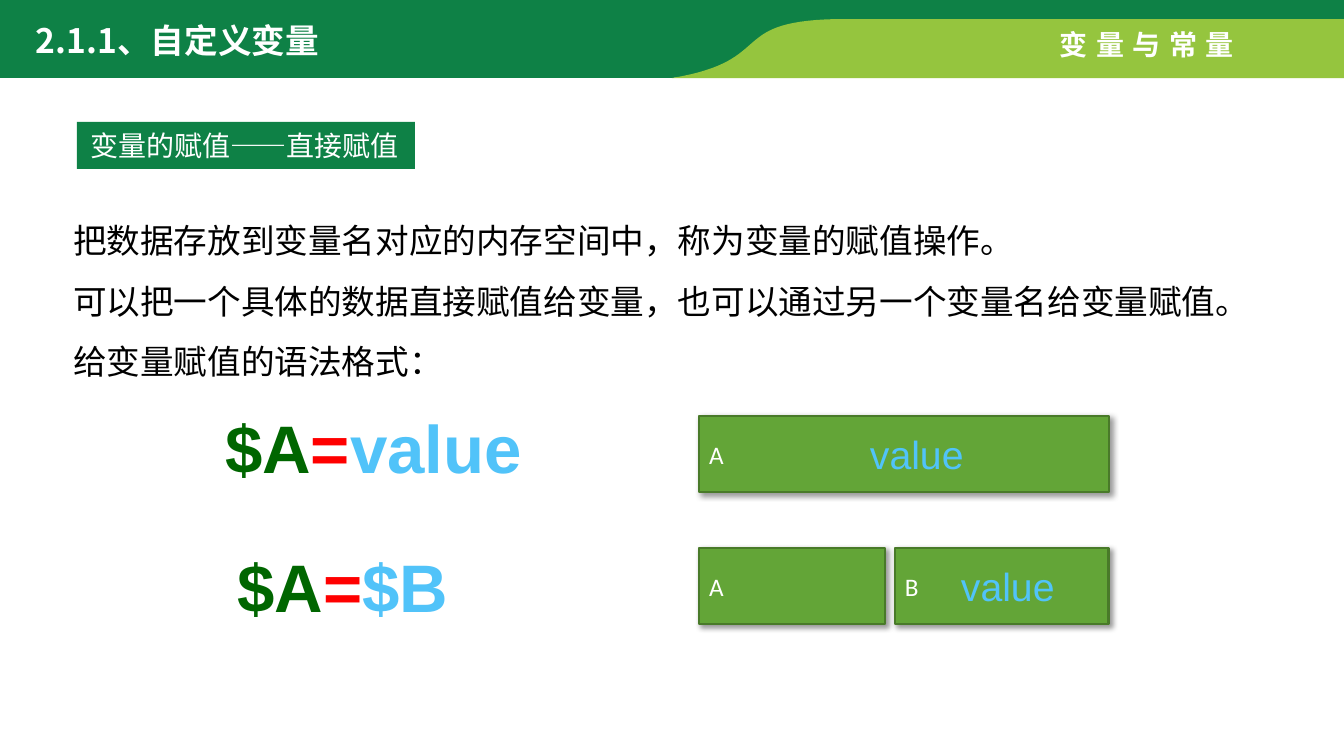
from dataclasses import dataclass

from lxml import etree
from pptx import Presentation, util as u
from pptx.dml.color import RGBColor
from pptx.enum import shapes, text
from pptx.oxml import ns

EMU_PER_PX = 914400 / 100.8
CURVE_STEPS = 32
CJK_FONT = "Noto Sans CJK SC"
COLORS = {
    "white": "FFFFFF", "black": "000000", "dark": "0E8146", "light": "95C53E",
    "cell": "63A537", "cell_line": "497A29", "name": "006600",
    "equals": "FF0000", "value": "51C3F9",
}
Point = tuple[float, float]
Box = tuple[int, int, int, int]


@dataclass(frozen=True)
class Style:
    size: int
    font: str = "Arial"
    bold: bool = False
    spacing: int = 0
    align: text.PP_ALIGN = text.PP_ALIGN.LEFT
    anchor: text.MSO_ANCHOR = text.MSO_ANCHOR.TOP
    line_spacing: float = 1.0
    wrap: bool = True
    grow: bool = True
    insets: tuple[int, int] = (10, 5)


@dataclass(frozen=True)
class TextItem:
    """Each paragraph is a list of (text, color name) runs."""
    box: Box
    paragraphs: list[list[tuple[str, str]]]
    style: Style


@dataclass(frozen=True)
class MemoryCell:
    box: Box
    name: str


TITLE = Style(24, CJK_FONT, bold=True)
CHAPTER = Style(20, bold=True, spacing=6, wrap=False)
LABEL = Style(20, wrap=False, insets=(13, 7))
BODY = Style(24, CJK_FONT, line_spacing=1.5)
FORMULA = Style(48, bold=True, align=text.PP_ALIGN.CENTER, wrap=False)
CELL = Style(18, "Calibri", anchor=text.MSO_ANCHOR.MIDDLE, grow=False)
VALUE = Style(28)

SECTION_LABEL = TextItem((77, 122, 338, 47), [[("变量的赋值——直接赋值", "white")]], LABEL)
BODY_LINES = [
    "把数据存放到变量名对应的内存空间中，称为变量的赋值操作。",
    "可以把一个具体的数据直接赋值给变量，也可以通过另一个变量名给变量赋值。",
    "给变量赋值的语法格式：",
]
HEADINGS = [
    TextItem((26, 15, 380, 50), [[("2.1.1、自定义变量", "white")]], TITLE),
    TextItem((1050, 22, 205, 44), [[("变量与常量", "white")]], CHAPTER),
]
BODY_TEXT = TextItem((63, 195, 1192, 194), [[(line, "black")] for line in BODY_LINES], BODY)
FORMULAS = [
    TextItem(box, [[("$A", "name"), ("=", "equals"), (source, "value")]], FORMULA)
    for box, source in [((213, 401, 321, 92), "value"), ((226, 540, 234, 92), "$B")]
]
CELLS = [
    MemoryCell((699, 416, 410, 76), "A"),
    MemoryCell((699, 548, 186, 76), "A"),
    MemoryCell((895, 548, 214, 76), "B"),
]
VALUES = [
    TextItem((left, top, 115, 57), [[("value", "value")]], VALUE)
    for left, top in [(860, 425), (951, 557)]
]


def px(length: float) -> u.Emu:
    return u.Emu(round(length * EMU_PER_PX))


def rgb(name: str) -> RGBColor:
    return RGBColor.from_string(COLORS[name])


def curve(start: Point, control_1: Point, control_2: Point, end: Point) -> list[Point]:
    """Sample a cubic Bezier, both ends included."""
    points = []
    for step in range(CURVE_STEPS + 1):
        t = step / CURVE_STEPS
        weights = ((1 - t) ** 3, 3 * t * (1 - t) ** 2, 3 * t * t * (1 - t), t ** 3)
        knots = (start, control_1, control_2, end)
        points.append((sum(w * x for w, (x, _) in zip(weights, knots)),
                       sum(w * y for w, (_, y) in zip(weights, knots))))
    return points


def paint(shape, fill: str) -> None:
    shape.shadow.inherit = False
    shape.fill.solid()
    shape.fill.fore_color.rgb = rgb(fill)
    shape.line.fill.background()


def add_band(slide, outline: list[Point], fill: str) -> None:
    start, *rest = [(px(x), px(y)) for x, y in outline]
    builder = slide.shapes.build_freeform(*start, scale=1.0)
    builder.add_line_segments(rest, close=True)
    paint(builder.convert_to_shape(), fill)


def write(shape, paragraphs: list[list[tuple[str, str]]], style: Style) -> None:
    frame = shape.text_frame
    side, edge = map(px, style.insets)
    sizing = text.MSO_AUTO_SIZE
    frame_format = {
        "margin_left": side, "margin_right": side,
        "margin_top": edge, "margin_bottom": edge,
        "word_wrap": style.wrap, "vertical_anchor": style.anchor,
        "auto_size": sizing.SHAPE_TO_FIT_TEXT if style.grow else sizing.NONE,
    }
    for key, setting in frame_format.items():
        setattr(frame, key, setting)
    font_format = {"size": u.Pt(style.size), "name": style.font, "bold": style.bold}
    for index, runs in enumerate(paragraphs):
        paragraph = frame.add_paragraph() if index else frame.paragraphs[0]
        paragraph.alignment = style.align
        paragraph.line_spacing = style.line_spacing
        for wording, color in runs:
            run = paragraph.add_run()
            run.text = wording
            for key, setting in font_format.items():
                setattr(run.font, key, setting)
            run.font.color.rgb = rgb(color)
            properties = run._r.get_or_add_rPr()
            etree.SubElement(properties, ns.qn("a:ea"), typeface=CJK_FONT)
            if style.spacing:
                properties.set("spc", str(style.spacing * 100))


def add_text(slide, item: TextItem) -> None:
    write(slide.shapes.add_textbox(*map(px, item.box)), item.paragraphs, item.style)


def add_rectangle(slide, item: TextItem, fill: str):
    shape = slide.shapes.add_shape(shapes.MSO_SHAPE.RECTANGLE, *map(px, item.box))
    paint(shape, fill)
    write(shape, item.paragraphs, item.style)
    return shape


def add_cell(slide, cell: MemoryCell) -> None:
    shape = add_rectangle(slide, TextItem(cell.box, [[(cell.name, "white")]], CELL), "cell")
    shape.line.color.rgb = rgb("cell_line")
    shape.line.width = u.Pt(2)
    effects = shape._element.spPr.find(ns.qn("a:effectLst"))
    shadow = etree.SubElement(effects, ns.qn("a:outerShdw"), blurRad=str(u.Pt(4)),
                              dist=str(u.Pt(3)), dir=str(45 * 60000), rotWithShape="0")
    color = etree.SubElement(shadow, ns.qn("a:srgbClr"), val=COLORS["black"])
    etree.SubElement(color, ns.qn("a:alpha"), val="40000")


def main() -> None:
    presentation = Presentation()
    presentation.slide_width, presentation.slide_height = px(1344), px(756)
    slide = presentation.slides.add_slide(presentation.slide_layouts[6])

    add_band(slide, [(0, -3), (1344, -3), (1344, 24), (834, 24),
                     *curve((815, 28), (733, 44), (776, 78), (660, 78)), (0, 78)], "dark")
    add_band(slide, [(1344, 19), (1344, 78),
                     *curve((672, 78), (780, 60), (723, 19), (846, 19))], "light")
    for heading in HEADINGS:
        add_text(slide, heading)
    add_rectangle(slide, SECTION_LABEL, "dark")
    for item in [BODY_TEXT, *FORMULAS]:
        add_text(slide, item)
    for cell in CELLS:
        add_cell(slide, cell)
    for item in VALUES:
        add_text(slide, item)

    presentation.save("out.pptx")


if __name__ == "__main__":
    main()
